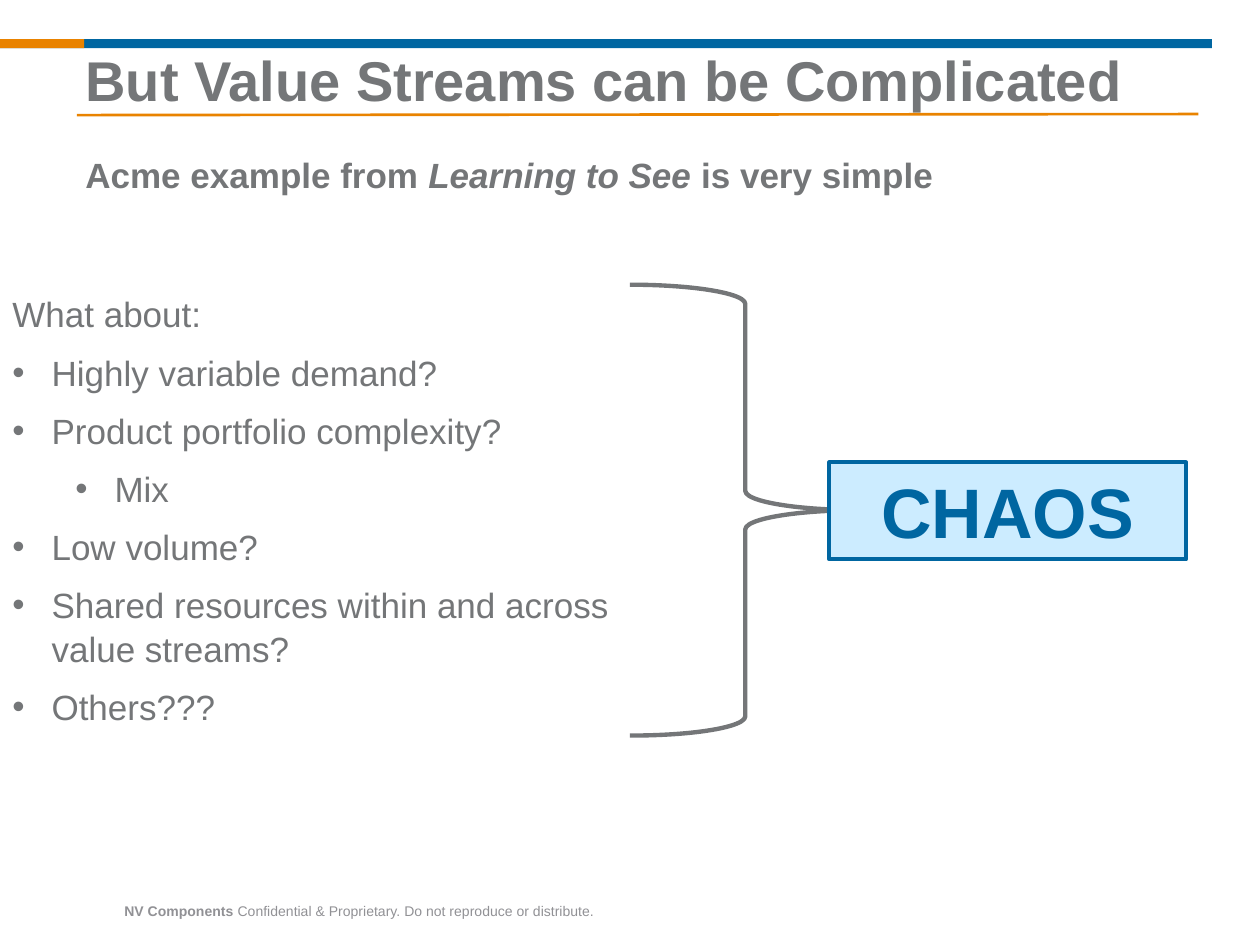
from typing import NamedTuple

from lxml import etree
from pptx import Presentation
from pptx.dml.color import RGBColor
from pptx.enum.shapes import MSO_CONNECTOR, MSO_SHAPE
from pptx.enum.text import MSO_ANCHOR, MSO_AUTO_SIZE, PP_ALIGN
from pptx.oxml.ns import qn
from pptx.util import Cm, Pt

FONT = "Arial"
BLUE = RGBColor(0x00, 0x66, 0xA1)
ORANGE = RGBColor(0xE9, 0x83, 0x00)
GREY = RGBColor(0x74, 0x76, 0x78)
FOOTER_GREY = RGBColor(0x91, 0x91, 0x95)
PALE_BLUE = RGBColor(0xCC, 0xEC, 0xFF)

QUESTIONS = [
    ("Highly variable demand?", 0),
    ("Product portfolio complexity?", 0),
    ("Mix", 1),
    ("Low volume?", 0),
    ("Shared resources within and across value streams?", 0),
    ("Others???", 0),
]


class Box(NamedTuple):
    left: float
    top: float
    width: float
    height: float

    def cm(self):
        return [Cm(value) for value in self]


def add_run(paragraph, text, size, color=GREY, bold=False, italic=False):
    run = paragraph.add_run()
    run.text = text
    font = run.font
    font.name, font.size, font.bold, font.italic = FONT, Pt(size), bold, italic
    font.color.rgb = color


def add_text_frame(slide, box, wrap=True):
    frame = slide.shapes.add_textbox(*box.cm()).text_frame
    frame.word_wrap = wrap
    return frame


def add_shape(slide, kind, box, fill=None, line=None, line_width=0):
    shape = slide.shapes.add_shape(kind, *box.cm())
    shape.shadow.inherit = False
    if fill is None:
        shape.fill.background()
    else:
        shape.fill.solid()
        shape.fill.fore_color.rgb = fill
    if line is None:
        shape.line.fill.background()
    else:
        shape.line.color.rgb = line
        shape.line.width = Pt(line_width)
    return shape


def add_top_bar(slide, box, accent_width):
    add_shape(slide, MSO_SHAPE.RECTANGLE, box, BLUE)
    add_shape(slide, MSO_SHAPE.RECTANGLE, box._replace(width=accent_width), ORANGE)


def add_title(slide, box):
    title = slide.shapes.title
    title.left, title.top, title.width, title.height = box.cm()
    frame = title.text_frame
    frame.auto_size = MSO_AUTO_SIZE.NONE
    frame.vertical_anchor = MSO_ANCHOR.TOP
    paragraph = frame.paragraphs[0]
    paragraph.alignment = PP_ALIGN.LEFT
    paragraph.line_spacing = 0.9
    add_run(paragraph, "But Value Streams can be Complicated", 32, bold=True)

    rule_left, rule_top = box.left + 0.08, box.top + 1.38
    rule = slide.shapes.add_connector(
        MSO_CONNECTOR.STRAIGHT, Cm(rule_left), Cm(rule_top),
        Cm(rule_left + 22.61), Cm(rule_top - 0.02))
    rule.line.color.rgb = ORANGE
    rule.line.width = Pt(1.5)
    etree.SubElement(rule._element.spPr, qn("a:effectLst"))


def add_subtitle(slide, box):
    paragraph = add_text_frame(slide, box).paragraphs[0]
    add_run(paragraph, "Acme example from ", 20, bold=True)
    add_run(paragraph, "Learning to See ", 20, bold=True, italic=True)
    add_run(paragraph, "is very simple", 20, bold=True)


def set_bullet(paragraph, level):
    paragraph.level = level
    properties = paragraph._p.get_or_add_pPr()
    properties.set("marL", str(Cm(0.79 + 1.27 * level)))
    properties.set("indent", str(-Cm(0.79)))
    etree.SubElement(properties, qn("a:buFont"), typeface=FONT)
    etree.SubElement(properties, qn("a:buChar"), char="•")


def add_questions(slide, box):
    frame = add_text_frame(slide, box)
    add_run(frame.paragraphs[0], "What about:", 20)
    for text, level in QUESTIONS:
        add_run(frame.add_paragraph(), text, 20)
    for paragraph in frame.paragraphs:
        paragraph.line_spacing = 1.05
        paragraph.space_after = Pt(8)
    for paragraph, (text, level) in zip(frame.paragraphs[1:], QUESTIONS):
        set_bullet(paragraph, level)


def add_conclusion(slide, box):
    brace = box._replace(width=4.65)
    add_shape(slide, MSO_SHAPE.RIGHT_BRACE, brace, line=GREY, line_width=2.5)
    label_box = Box(box.left + 4.02, box.top + 3.58, box.width - 4.02, 1.96)
    label = add_shape(slide, MSO_SHAPE.RECTANGLE, label_box, PALE_BLUE, BLUE, 2.25)
    frame = label.text_frame
    frame.vertical_anchor = MSO_ANCHOR.MIDDLE
    frame.paragraphs[0].alignment = PP_ALIGN.CENTER
    add_run(frame.paragraphs[0], "CHAOS", 40, BLUE, bold=True)


def add_footer(slide, box):
    paragraph = add_text_frame(slide, box, wrap=False).paragraphs[0]
    paragraph.alignment = PP_ALIGN.RIGHT
    add_run(paragraph, "NV Components", 8, FOOTER_GREY, bold=True)
    add_run(paragraph, " Confidential & Proprietary. Do not reproduce or distribute.",
            8, FOOTER_GREY)


def build():
    presentation = Presentation()
    presentation.slide_width, presentation.slide_height = Cm(25.4), Cm(19.05)
    slide = presentation.slides.add_slide(presentation.slide_layouts[5])
    add_top_bar(slide, Box(0, 0.79, 24.43, 0.18), accent_width=1.7)
    add_footer(slide, Box(2.18, 18.06, 10.06, 0.61))
    add_title(slide, Box(1.47, 0.94, 22.73, 2.77))
    add_questions(slide, Box(0, 5.74, 12.7, 8.46))
    add_subtitle(slide, Box(1.47, 2.97, 22.43, 2.54))
    add_conclusion(slide, Box(12.7, 5.74, 11.21, 9.09))
    presentation.save("out.pptx")


build()
